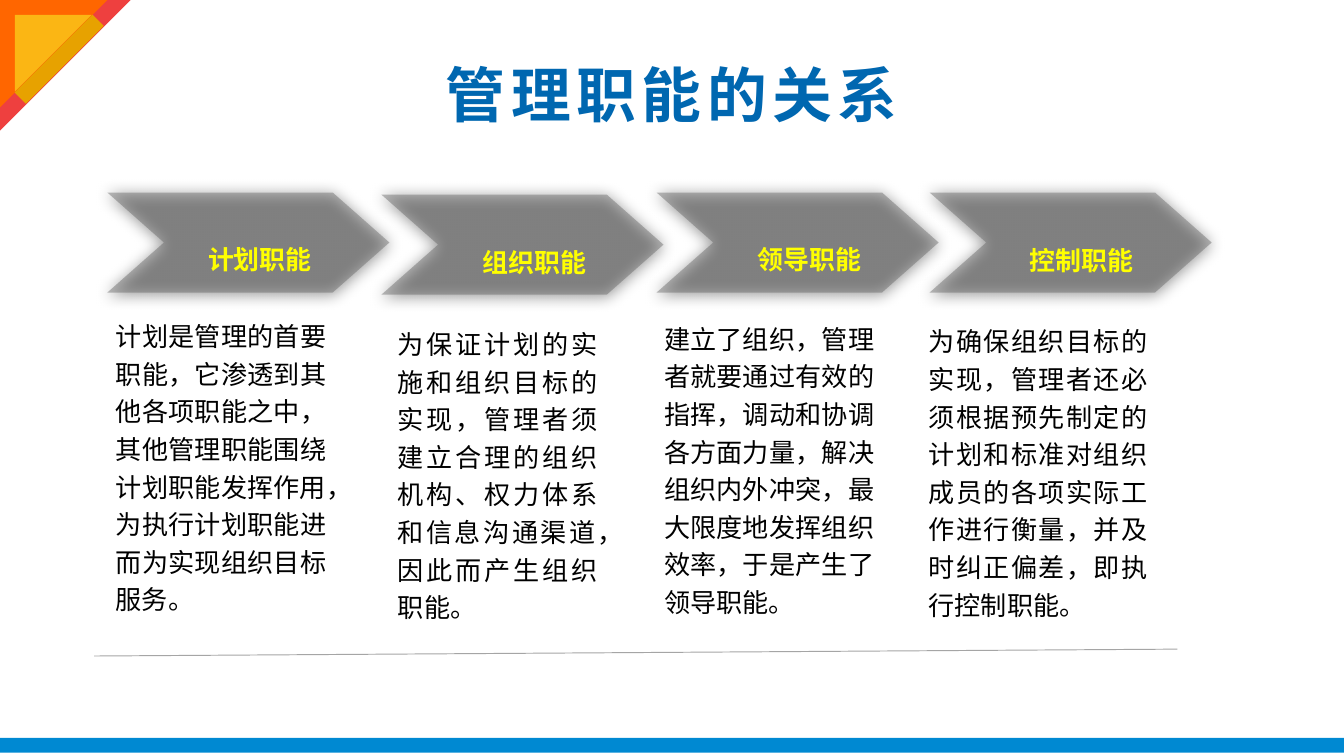
from lxml.etree import SubElement
from pptx import Presentation
from pptx.dml.color import RGBColor
from pptx.enum.lang import MSO_LANGUAGE_ID
from pptx.enum.shapes import MSO_CONNECTOR, MSO_SHAPE
from pptx.enum.text import MSO_ANCHOR, MSO_AUTO_SIZE, PP_ALIGN
from pptx.oxml.ns import qn
from pptx.util import Cm, Pt

COLORS = {
    "title": "0067B0", "label": "FFFF00", "text": "000000",
    "arrow": "595959", "shadow": "000000", "rule": "A5A5A5",
    "footer": "0089D2", "red": "EE403F", "orange": "FF6600",
    "yellow": "FBB614", "gold": "E7A200",
}
FONT = "Arial"


class FunctionSlide:
    """Holds the style and the slide being drawn."""

    def __init__(self, slide):
        self.shapes = slide.shapes

    def color(self, key):
        return RGBColor.from_string(COLORS[key])

    def paint(self, shape, color):
        shape.shadow.inherit = False
        shape.fill.solid()
        shape.fill.fore_color.rgb = self.color(color)
        shape.line.fill.background()

    def text(self, content, left, top, width, height, color, size,
             align=PP_ALIGN.CENTER, anchor=MSO_ANCHOR.MIDDLE, bold=False,
             line_spacing=None, grow=True, margins=None):
        box = self.shapes.add_textbox(Cm(left), Cm(top), Cm(width), Cm(height))
        frame = box.text_frame
        frame.word_wrap = True
        frame.vertical_anchor = anchor
        frame.auto_size = MSO_AUTO_SIZE.SHAPE_TO_FIT_TEXT if grow else MSO_AUTO_SIZE.NONE
        if margins:
            frame.margin_left = frame.margin_right = Cm(margins[0])
            frame.margin_top = frame.margin_bottom = Cm(margins[1])
        frame.text = content
        paragraph = frame.paragraphs[0]
        paragraph.alignment = align
        paragraph.line_spacing = line_spacing
        run = paragraph.runs[0]
        run.font.name = FONT
        run.font.size = Pt(size)
        run.font.bold = bold
        run.font.color.rgb = self.color(color)
        run.font.language_id = MSO_LANGUAGE_ID.SIMPLIFIED_CHINESE
        properties = run._r.get_or_add_rPr()
        SubElement(properties, qn("a:ea"), typeface=FONT)
        return properties

    def title(self, content):
        properties = self.text(content, 1.27, 0.58, 22.86, 2.39, "title", 32,
                               bold=True, grow=False)
        properties.set("spc", "300")

    def arrow(self, left, top):
        width, shoulder, notch, height = 5.33, 4.26, 1.07, 1.89
        outline = [(shoulder, 0), (width, height / 2), (shoulder, height),
                   (0, height), (notch, height / 2)]
        builder = self.shapes.build_freeform(Cm(left), Cm(top))
        builder.add_line_segments([(Cm(left + x), Cm(top + y)) for x, y in outline])
        shape = builder.convert_to_shape()
        self.paint(shape, "arrow")
        # Translucent fill over a soft shadow
        properties = shape._element.spPr
        fill = properties.find(qn("a:solidFill")).find(qn("a:srgbClr"))
        SubElement(fill, qn("a:alpha"), val="40000")
        shadow = SubElement(properties.find(qn("a:effectLst")), qn("a:outerShdw"),
                            blurRad=str(Pt(8.5)), dist=str(Pt(1)), dir="5400000",
                            algn="t", rotWithShape="0")
        SubElement(shadow, qn("a:srgbClr"), val=COLORS["shadow"])

    def label(self, content, left, top, width):
        properties = self.text(content, left, top, width, 1.02, "label", 24,
                               bold=True, line_spacing=1.2)
        properties.set("baseline", "-3000")

    def description(self, content, left, top, width):
        self.text(content, left, top, width, 5.92, "text", 14,
                  align=PP_ALIGN.JUSTIFY, anchor=MSO_ANCHOR.TOP,
                  line_spacing=1.2, margins=(0.18, 0.1))

    def rule(self, x1, y1, x2, y2):
        line = self.shapes.add_connector(MSO_CONNECTOR.STRAIGHT,
                                         Cm(x1), Cm(y1), Cm(x2), Cm(y2))
        line.line.color.rgb = self.color("rule")
        line.line.width = Pt(0.5)
        SubElement(line._element.spPr, qn("a:effectLst"))

    def block(self, kind, left, top, width, height, color, rotation=0):
        shape = self.shapes.add_shape(kind, Cm(left), Cm(top), Cm(width), Cm(height))
        shape.rotation = rotation
        self.paint(shape, color)


# Name, arrow (left, top), label (left, top, width), description box, description
FUNCTIONS = [
    ("计划职能", (2.03, 3.64), (2.59, 4.11, 4.65), (2.01, 5.84, 4.34),
     "计划是管理的首要职能，它渗透到其他各项职能之中，其他管理职能围绕计划职能"
     "发挥作用，为执行计划职能进而为实现组织目标服务。"),
    ("组织职能", (7.21, 3.68), (7.85, 4.17, 4.5), (7.34, 5.99, 4.14),
     "为保证计划的实施和组织目标的实现，管理者须建立合理的组织机构、权力体系和"
     "信息沟通渠道，因此而产生组织职能。"),
    ("领导职能", (12.41, 3.64), (13.08, 4.11, 4.45), (12.37, 5.89, 4.34),
     "建立了组织，管理者就要通过有效的指挥，调动和协调各方面力量，解决组织内外"
     "冲突，最大限度地发挥组织效率，于是产生了领导职能。"),
    ("控制职能", (17.57, 3.64), (18.19, 4.14, 4.5), (17.37, 5.94, 4.5),
     "为确保组织目标的实现，管理者还必须根据预先制定的计划和标准对组织成员的各"
     "项实际工作进行衡量，并及时纠正偏差，即执行控制职能。"),
]


def main():
    presentation = Presentation()
    presentation.slide_width = Cm(25.4)
    presentation.slide_height = Cm(14.29)
    page = FunctionSlide(presentation.slides.add_slide(presentation.slide_layouts[6]))

    page.title("管理职能的关系")

    # Four management functions
    for name, arrow_at, label_at, description_at, description in FUNCTIONS:
        page.arrow(*arrow_at)
        page.label(name, *label_at)
        page.description(description, *description_at)

    # Closing rule and footer band
    page.rule(1.78, 12.4, 22.25, 12.27)
    page.block(MSO_SHAPE.RECTANGLE, 0, 13.95, 25.4, 0.28, "footer")

    # Corner ornament
    for offset, side, color in [(0, 2.47, "red"), (0, 2.03, "orange"),
                                (0.28, 1.45, "yellow")]:
        page.block(MSO_SHAPE.RIGHT_TRIANGLE, offset, offset, side, side, color, 90)
    page.block(MSO_SHAPE.RECTANGLE, 0.97, 0.08, 0.3, 2.08, "gold", 45)

    presentation.save("out.pptx")


if __name__ == "__main__":
    main()
